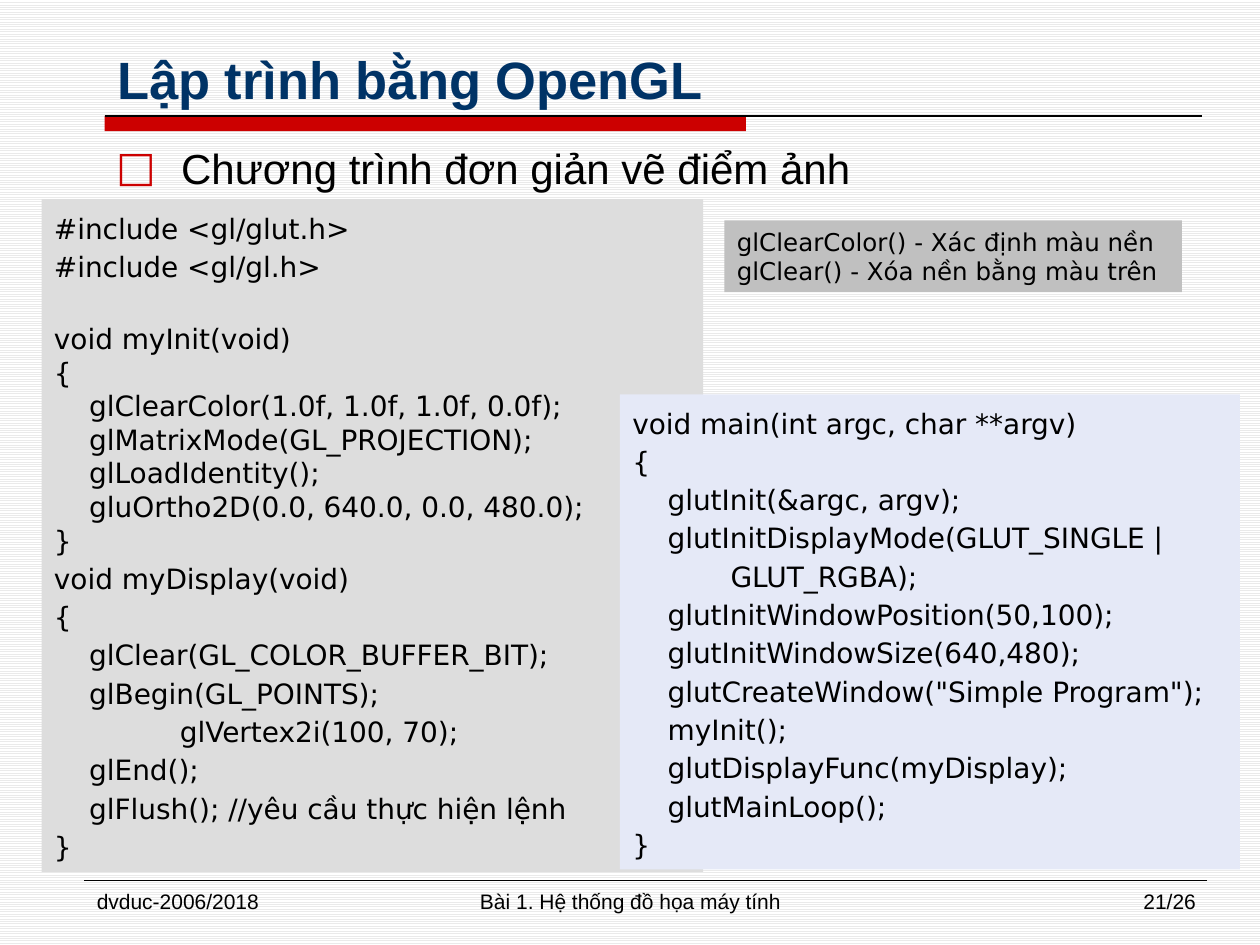
from lxml import etree
from pptx import Presentation
from pptx import util as u
from pptx.dml.color import RGBColor
from pptx.enum import dml, shapes, text
from pptx.oxml.ns import qn

NAVY = RGBColor(0x00, 0x33, 0x66)
RED = RGBColor(0xCC, 0x00, 0x00)
BLACK = RGBColor(0x00, 0x00, 0x00)
WHITE = RGBColor(0xFF, 0xFF, 0xFF)
STRIPE = RGBColor(0xEA, 0xEA, 0xEA)
CODE_GREY = RGBColor(0xDD, 0xDD, 0xDD)
CODE_BLUE = RGBColor(0xE5, 0xE9, 0xF7)
NOTE_GREY = RGBColor(0xC0, 0xC0, 0xC0)
CODE_FONT = "DejaVu Sans"
STEP = 0.28
LOOSE = {"spacing": 1.1, "before": 0.8}

# Each code line is (text, left indent in inches).
INCLUDES = [("#include <gl/glut.h>", 0), ("#include <gl/gl.h>", 0)]
INIT_HEAD = [("void myInit(void)", 0)]
INIT_BODY = [
    ("{", 0),
    ("glClearColor(1.0f, 1.0f, 1.0f, 0.0f);", STEP),
    ("glMatrixMode(GL_PROJECTION);", STEP),
    ("glLoadIdentity();", STEP),
    ("gluOrtho2D(0.0, 640.0, 0.0, 480.0);", STEP),
    ("}", 0),
]
DISPLAY = [
    ("void myDisplay(void)", 0),
    ("{", 0),
    ("glClear(GL_COLOR_BUFFER_BIT);", STEP),
    ("glBegin(GL_POINTS);", STEP),
    ("glVertex2i(100, 70);", 1),
    ("glEnd();", STEP),
    ("glFlush(); //yêu cầu thực hiện lệnh", STEP),
    ("}", 0),
]
MAIN = [
    ("void main(int argc, char **argv)", 0),
    ("{", 0),
    ("glutInit(&argc, argv);", STEP),
    ("glutInitDisplayMode(GLUT_SINGLE |", STEP),
    ("GLUT_RGBA);", 0.78),
    ("glutInitWindowPosition(50,100);", STEP),
    ("glutInitWindowSize(640,480);", STEP),
    ('glutCreateWindow("Simple Program");', STEP),
    ("myInit();", STEP),
    ("glutDisplayFunc(myDisplay);", STEP),
    ("glutMainLoop();", STEP),
    ("}", 0),
]
NOTES = [("glClearColor() - Xác định màu nền", 0), ("glClear() - Xóa nền bằng màu trên", 0)]


def add_text(frame, words, size=16, font="Arial", color=BLACK, bold=False,
             align=text.PP_ALIGN.LEFT, indent=0, spacing=1.0, before=0):
    """Write one formatted paragraph into a text frame and return it."""
    para = frame.paragraphs[0] if not frame.text else frame.add_paragraph()
    para.alignment = align
    para.line_spacing = spacing
    para.space_before = u.Pt(before)
    if indent:
        para._p.get_or_add_pPr().set("marL", str(u.Inches(indent)))
    span = para.add_run()
    span.text = words
    span.font.size = u.Pt(size)
    span.font.name = font
    span.font.bold = bold
    span.font.color.rgb = color
    return para


def add_lines(frame, lines, **style):
    """Write several code lines that share one format."""
    for words, indent in lines:
        add_text(frame, words, font=CODE_FONT, indent=indent, **style)


def add_bullet(para, symbol, hang):
    """Give a paragraph a red hanging bullet."""
    props = para._p.get_or_add_pPr()
    props.set("indent", str(-u.Inches(hang)))
    color = etree.SubElement(props, qn("a:buClr"))
    etree.SubElement(color, qn("a:srgbClr")).set("val", str(RED))
    etree.SubElement(props, qn("a:buFont")).set("typeface", CODE_FONT)
    etree.SubElement(props, qn("a:buChar")).set("char", symbol)


def add_box(page, left, top, width, height):
    """Add a wrapping text box and return its frame."""
    box = page.shapes.add_textbox(*map(u.Inches, (left, top, width, height)))
    box.text_frame.word_wrap = True
    return box.text_frame


def add_panel(page, left, top, width, height, fill, anchor=text.MSO_ANCHOR.MIDDLE):
    """Add a plain filled rectangle and return its text frame."""
    panel = page.shapes.add_shape(shapes.MSO_SHAPE.RECTANGLE,
                                  *map(u.Inches, (left, top, width, height)))
    panel.shadow.inherit = False
    panel.fill.solid()
    panel.fill.fore_color.rgb = fill
    panel.line.fill.background()
    panel.text_frame.vertical_anchor = anchor
    return panel.text_frame


def add_rule(page, left, right, y, weight):
    """Add a thin horizontal line."""
    rule = page.shapes.add_connector(shapes.MSO_CONNECTOR.STRAIGHT, u.Inches(left),
                                     u.Inches(y), u.Inches(right), u.Inches(y))
    rule.line.color.rgb = BLACK
    rule.line.width = u.Pt(weight)
    etree.SubElement(rule._element.spPr, qn("a:effectLst"))


def set_background(page):
    """Fill the page with light horizontal stripes."""
    fill = page.background.fill
    fill.patterned()
    fill.pattern = dml.MSO_PATTERN.LIGHT_HORIZONTAL
    fill.fore_color.rgb = STRIPE
    fill.back_color.rgb = WHITE


def set_title(page, words):
    """Place and format the title placeholder."""
    title = page.shapes.title
    title.left, title.top, title.width, title.height = map(u.Inches, (0.83, 0.17, 9, 0.75))
    title.text_frame.auto_size = text.MSO_AUTO_SIZE.NONE
    title.text_frame.vertical_anchor = text.MSO_ANCHOR.BOTTOM
    add_text(title.text_frame, words, size=30, color=NAVY, bold=True)


def add_footer(page):
    """Add the footer line and its three texts."""
    add_rule(page, 0.67, 9.58, 6.99, 0.25)
    align = text.PP_ALIGN
    for words, left, width, side in (
        ("dvduc-2006/2018", 0.67, 2.17, align.LEFT),
        ("Bài 1. Hệ thống đồ họa máy tính", 3.42, 3.17, align.CENTER),
        ("21/26", 7.42, 2.17, align.RIGHT),
    ):
        add_text(add_box(page, left, 7, width, 0.35), words, size=12, align=side)


def main():
    """Build the slide and save it."""
    deck = Presentation()
    deck.slide_width, deck.slide_height = u.Inches(10), u.Inches(7.5)
    page = deck.slides.add_slide(deck.slide_layouts[5])
    set_background(page)
    set_title(page, "Lập trình bằng OpenGL")
    add_panel(page, 0.83, 0.92, 5.09, 0.12, RED)
    add_rule(page, 0.83, 9.54, 0.92, 0.75)
    add_footer(page)

    topic = add_box(page, 0.83, 1.08, 9, 0.5)
    para = add_text(topic, "Chương trình đơn giản vẽ điểm ảnh", size=24, indent=0.51, before=3.6)
    add_bullet(para, "□", 0.51)

    drawing = add_panel(page, 0.33, 1.58, 5.25, 5.34, CODE_GREY)
    add_lines(drawing, INCLUDES, **LOOSE)
    add_lines(drawing, INIT_HEAD, before=22)
    add_lines(drawing, INIT_BODY)
    add_lines(drawing, DISPLAY, **LOOSE)

    add_lines(add_panel(page, 4.92, 3.13, 4.92, 3.77, CODE_BLUE), MAIN, **LOOSE)

    notes = add_panel(page, 5.75, 1.75, 3.63, 0.57, NOTE_GREY, text.MSO_ANCHOR.TOP)
    notes.word_wrap = False
    add_lines(notes, NOTES, size=14)
    deck.save("out.pptx")


if __name__ == "__main__":
    main()
